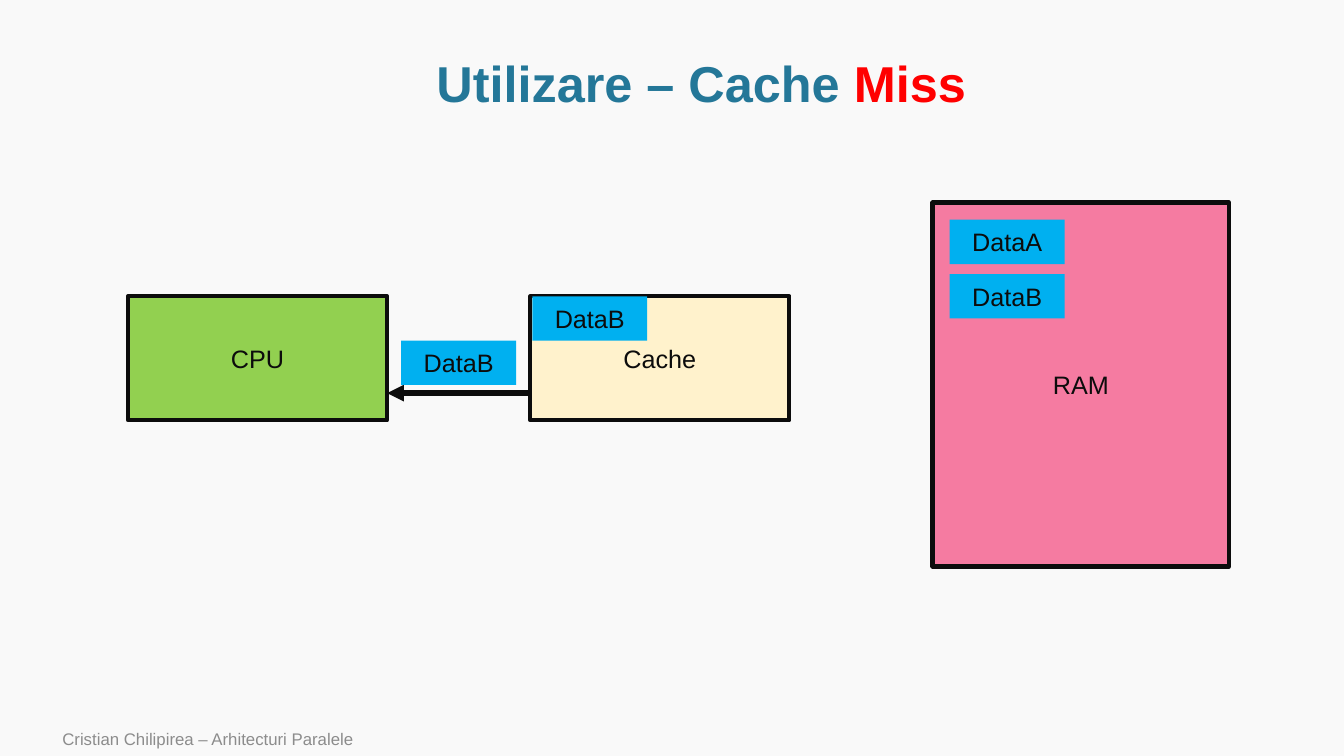
"""Builds the cache miss slide: CPU, cache and RAM with the data they hold."""
from lxml import etree
from pptx import Presentation
from pptx.dml.color import RGBColor
from pptx.enum.shapes import MSO_CONNECTOR, MSO_SHAPE
from pptx.enum.text import MSO_ANCHOR, PP_ALIGN
from pptx.oxml.ns import qn
from pptx.util import Inches, Pt

RECTANGLE = MSO_SHAPE.RECTANGLE
STRAIGHT = MSO_CONNECTOR.STRAIGHT
MIDDLE = MSO_ANCHOR.MIDDLE
LEFT, CENTER = PP_ALIGN.LEFT, PP_ALIGN.CENTER

PAPER = RGBColor(0xF9, 0xF9, 0xF9)
INK = RGBColor(0x0C, 0x0C, 0x0C)
TEAL = RGBColor(0x24, 0x77, 0x98)
RED = RGBColor(0xFF, 0x00, 0x00)
GREY = RGBColor(0x8C, 0x8C, 0x8C)
GREEN = RGBColor(0x92, 0xD0, 0x50)
CREAM = RGBColor(0xFF, 0xF2, 0xCC)
PINK = RGBColor(0xF5, 0x7B, 0xA1)
BLUE = RGBColor(0x00, 0xB0, 0xF0)

FONT = "Arial"
TITLE = [("Utilizare – Cache ", TEAL), ("Miss", RED)]
FOOTER = "Cristian Chilipirea – Arhitecturi Paralele"

UNIT_TOP, UNIT_WIDTH, UNIT_HEIGHT = 2.94, 2.57, 1.23
CPU_LEFT, CACHE_LEFT, RAM_LEFT, RAM_TOP = 1.27, 5.26, 9.25, 2.01
DATA_WIDTH, DATA_HEIGHT, DATA_STEP = 1.14, 0.44, 0.54
RAM_INSET = 0.17
ARROW_Y = 3.9

CPU_RIGHT = CPU_LEFT + UNIT_WIDTH
MOVING_LEFT = (CPU_RIGHT + CACHE_LEFT - DATA_WIDTH) / 2

UNITS = [
    ("CPU", CPU_LEFT, UNIT_TOP, UNIT_WIDTH, UNIT_HEIGHT, GREEN),
    ("Cache", CACHE_LEFT, UNIT_TOP, UNIT_WIDTH, UNIT_HEIGHT, CREAM),
    ("RAM", RAM_LEFT, RAM_TOP, 2.94, 3.61, PINK),
]
STORED = [("DataB", CACHE_LEFT + 0.02, UNIT_TOP)] + [
    (name, RAM_LEFT + RAM_INSET, RAM_TOP + RAM_INSET + row * DATA_STEP)
    for row, name in enumerate(["DataA", "DataB"])
]
MOVING = ("DataB", MOVING_LEFT, UNIT_TOP + DATA_HEIGHT)


def style(paragraph, size, color, align):
    paragraph.alignment = align
    paragraph.font.name = FONT
    paragraph.font.size = Pt(size)
    paragraph.font.color.rgb = color


def add_box(slide, label, left, top, width, height, fill, outlined):
    box = slide.shapes.add_shape(
        RECTANGLE, Inches(left), Inches(top), Inches(width), Inches(height))
    box.shadow.inherit = False
    box.fill.solid()
    box.fill.fore_color.rgb = fill
    if outlined:
        box.line.color.rgb = INK
        box.line.width = Pt(3)
    else:
        box.line.fill.background()
    box.text_frame.vertical_anchor = MIDDLE
    box.text_frame.text = label
    style(box.text_frame.paragraphs[0], 18, INK, CENTER)


def add_data(slide, name, left, top):
    add_box(slide, name, left, top, DATA_WIDTH, DATA_HEIGHT, BLUE, False)


def add_arrow(slide):
    arrow = slide.shapes.add_connector(
        STRAIGHT, Inches(CACHE_LEFT), Inches(ARROW_Y),
        Inches(CPU_RIGHT), Inches(ARROW_Y))
    arrow.line.color.rgb = INK
    arrow.line.width = Pt(4)
    etree.SubElement(arrow.line._get_or_add_ln(), qn("a:tailEnd"), type="triangle")
    etree.SubElement(arrow._element.spPr, qn("a:effectLst"))


def add_title(slide):
    title = slide.shapes.title
    title.left, title.top = Inches(1.14), Inches(0.51)
    title.width, title.height = Inches(11.63), Inches(0.69)
    title.text_frame.vertical_anchor = MIDDLE
    heading = title.text_frame.paragraphs[0]
    heading.line_spacing = 0.9
    style(heading, 36, TEAL, CENTER)
    heading.font.bold = True
    for words, color in TITLE:
        run = heading.add_run()
        run.text = words
        run.font.color.rgb = color


def add_footer(slide):
    footer = slide.shapes.add_textbox(
        Inches(0.52), Inches(7.16), Inches(8.4), Inches(0.34)).text_frame
    footer.word_wrap = True
    footer.vertical_anchor = MIDDLE
    footer.text = FOOTER
    style(footer.paragraphs[0], 12, GREY, LEFT)


def main():
    deck = Presentation()
    deck.slide_width, deck.slide_height = Inches(13.33), Inches(7.5)
    slide = deck.slides.add_slide(deck.slide_layouts[5])
    slide.background.fill.solid()
    slide.background.fill.fore_color.rgb = PAPER
    add_footer(slide)
    add_title(slide)
    for unit in UNITS:
        add_box(slide, *unit, True)
    for data in STORED:
        add_data(slide, *data)
    add_arrow(slide)
    add_data(slide, *MOVING)
    deck.save("out.pptx")


if __name__ == "__main__":
    main()
